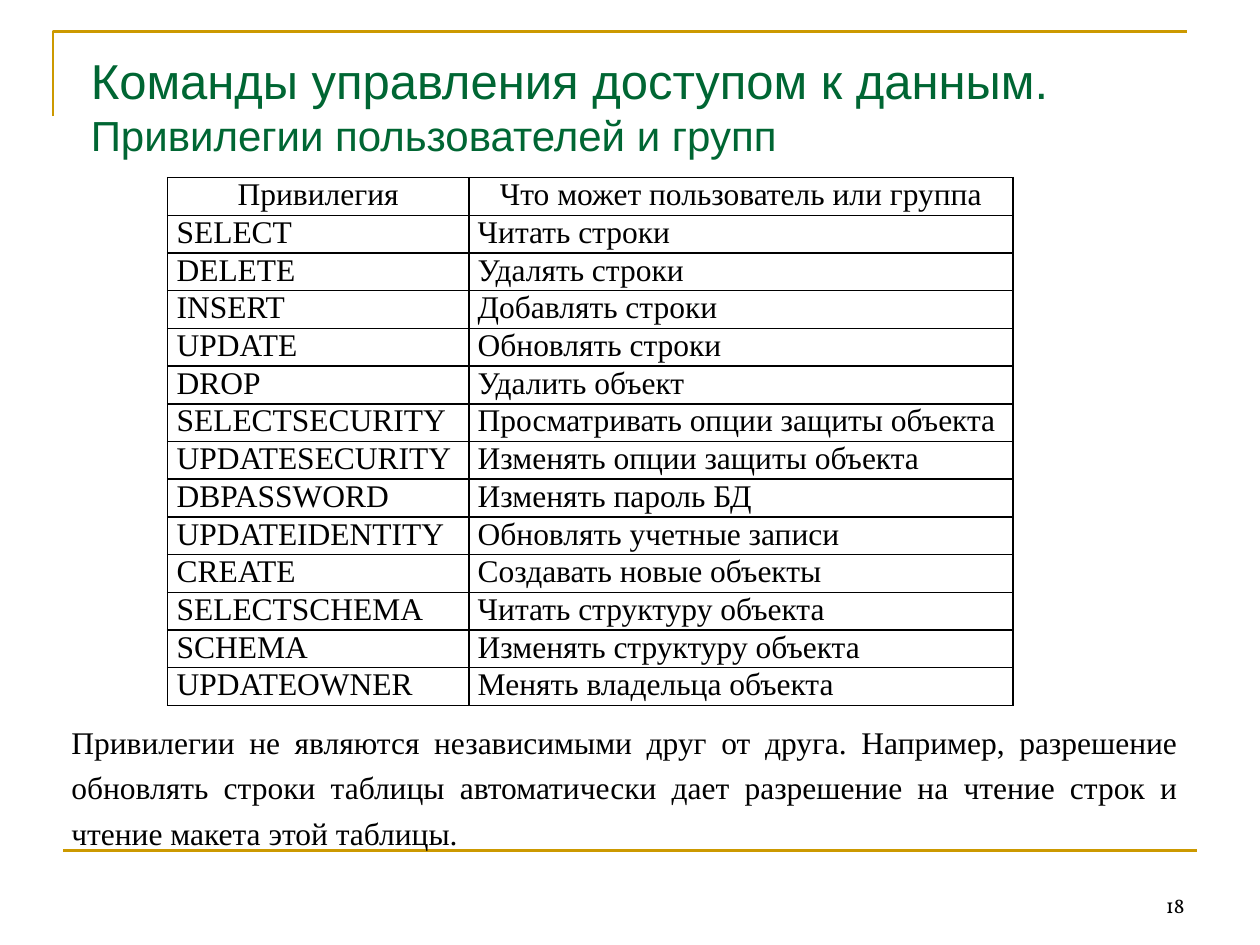
"""Build a slide on database privileges: title, privilege table and a closing note."""
from dataclasses import dataclass
from typing import NamedTuple

from lxml.etree import SubElement
from pptx import Presentation
from pptx.dml.color import RGBColor
from pptx.enum.shapes import MSO_CONNECTOR
from pptx.enum.text import MSO_ANCHOR as ANCHOR, PP_ALIGN as ALIGN
from pptx.oxml.ns import qn
from pptx.util import Cm, Pt


@dataclass(frozen=True)
class Theme:
    green: RGBColor = RGBColor(0x00, 0x66, 0x33)
    gold: RGBColor = RGBColor(0xCC, 0x99, 0x00)
    black: RGBColor = RGBColor(0, 0, 0)
    heading_font: str = "Arial"
    body_font: str = "Times New Roman"
    number_font: str = "Vollkorn"
    title_size: int = 28
    subtitle_size: int = 24
    body_size: int = 18
    number_size: int = 12
    rule_width: float = 1.5
    border_width: float = 1


class Privilege(NamedTuple):
    name: str
    meaning: str


class Box(NamedTuple):
    left: float
    top: float
    width: float
    height: float


THEME = Theme()
HEADER = Privilege("Привилегия", "Что может пользователь или группа")
PRIVILEGES = [
    Privilege("SELECT", "Читать строки"),
    Privilege("DELETE", "Удалять строки"),
    Privilege("INSERT", "Добавлять строки"),
    Privilege("UPDATE", "Обновлять строки"),
    Privilege("DROP", "Удалить объект"),
    Privilege("SELECTSECURITY", "Просматривать опции защиты объекта"),
    Privilege("UPDATESECURITY", "Изменять опции защиты объекта"),
    Privilege("DBPASSWORD", "Изменять пароль БД"),
    Privilege("UPDATEIDENTITY", "Обновлять учетные записи"),
    Privilege("CREATE", "Создавать новые объекты"),
    Privilege("SELECTSCHEMA", "Читать структуру объекта"),
    Privilege("SCHEMA", "Изменять структуру объекта"),
    Privilege("UPDATEOWNER", "Менять владельца объекта"),
]
NOTE = (
    "Привилегии не являются независимыми друг от друга. Например, разрешение "
    "обновлять строки таблицы автоматически дает разрешение на чтение строк "
    "и чтение макета этой таблицы."
)
COLUMN_WIDTHS = (6.07, 10.97)
ROW_HEIGHT = 0.76


def add_run(p, text: str, size: int, font: str, color: RGBColor) -> None:
    r = p.add_run()
    r.text = text
    r.font.size = Pt(size)
    r.font.name = font
    r.font.color.rgb = color


def set_line(sp) -> None:
    sp.line.color.rgb = THEME.gold
    sp.line.width = Pt(THEME.rule_width)


def add_rules(slide) -> None:
    builder = slide.shapes.build_freeform(Cm(1.07), Cm(2.34))
    builder.add_line_segments([(Cm(1.07), Cm(0.64)), (Cm(23.93), Cm(0.64))], close=False)
    corner = builder.convert_to_shape()
    corner.fill.background()
    corner.shadow.inherit = False
    set_line(corner)
    base = slide.shapes.add_connector(
        MSO_CONNECTOR.STRAIGHT, Cm(1.27), Cm(17.15), Cm(24.13), Cm(17.15)
    )
    set_line(base)
    SubElement(base._element.spPr, qn("a:effectLst"))


def format_title(title) -> None:
    title.left, title.top, title.width, title.height = map(Cm, Box(1.19, 0.58, 23.01, 3))
    tf = title.text_frame
    tf.word_wrap = True
    tf.vertical_anchor = ANCHOR.MIDDLE
    tf.margin_left, tf.margin_top = Cm(0.64), Cm(0.43)
    tf.margin_right, tf.margin_bottom = Cm(0.25), Cm(0.36)
    p = tf.paragraphs[0]
    p.alignment = ALIGN.LEFT
    add_run(p, "Команды управления доступом к данным. ",
            THEME.title_size, THEME.heading_font, THEME.green)
    add_run(p, "Привилегии пользователей и групп",
            THEME.subtitle_size, THEME.heading_font, THEME.green)


def add_borders(cell) -> None:
    props = cell._tc.get_or_add_tcPr()
    for index, side in enumerate(("lnL", "lnR", "lnT", "lnB")):
        ln = props.makeelement(qn(f"a:{side}"), {"w": str(Pt(THEME.border_width))})
        fill = SubElement(ln, qn("a:solidFill"))
        SubElement(fill, qn("a:srgbClr"), val=str(THEME.black))
        props.insert(index, ln)


def fill_cell(cell, text: str, align: ALIGN) -> None:
    cell.fill.background()
    cell.margin_left = cell.margin_right = Cm(0.18)
    cell.margin_top = cell.margin_bottom = 0
    add_borders(cell)
    p = cell.text_frame.paragraphs[0]
    p.alignment = align
    add_run(p, text, THEME.body_size, THEME.body_font, THEME.black)


def add_privilege_table(slide) -> None:
    rows = [HEADER, *PRIVILEGES]
    box = Box(3.38, 3.58, sum(COLUMN_WIDTHS), ROW_HEIGHT * len(rows))
    table = slide.shapes.add_table(len(rows), len(COLUMN_WIDTHS), *map(Cm, box)).table
    table.horz_banding = False
    for column, width in zip(table.columns, COLUMN_WIDTHS):
        column.width = Cm(width)
    for i, row in enumerate(rows):
        table.rows[i].height = Cm(ROW_HEIGHT)
        for j, text in enumerate(row):
            fill_cell(table.cell(i, j), text, ALIGN.LEFT if i else ALIGN.CENTER)


def add_text(slide, box: Box, text: str, size: int, font: str, align: ALIGN,
             anchor: ANCHOR = ANCHOR.TOP, spacing: float = 1.0) -> None:
    tf = slide.shapes.add_textbox(*map(Cm, box)).text_frame
    tf.word_wrap = True
    tf.vertical_anchor = anchor
    p = tf.paragraphs[0]
    p.alignment = align
    p.line_spacing = spacing
    add_run(p, text, size, font, THEME.black)


def main() -> None:
    prs = Presentation()
    prs.slide_width, prs.slide_height = Cm(25.4), Cm(19.05)
    slide = prs.slides.add_slide(prs.slide_layouts[5])
    add_rules(slide)
    format_title(slide.shapes.title)
    add_privilege_table(slide)
    add_text(slide, Box(1.19, 14.3, 22.81, 3.02), NOTE, THEME.body_size,
             THEME.body_font, ALIGN.JUSTIFY, spacing=1.2)
    add_text(slide, Box(18.21, 17.35, 5.92, 1.27), "18", THEME.number_size,
             THEME.number_font, ALIGN.RIGHT, ANCHOR.BOTTOM)
    prs.save("out.pptx")


main()
